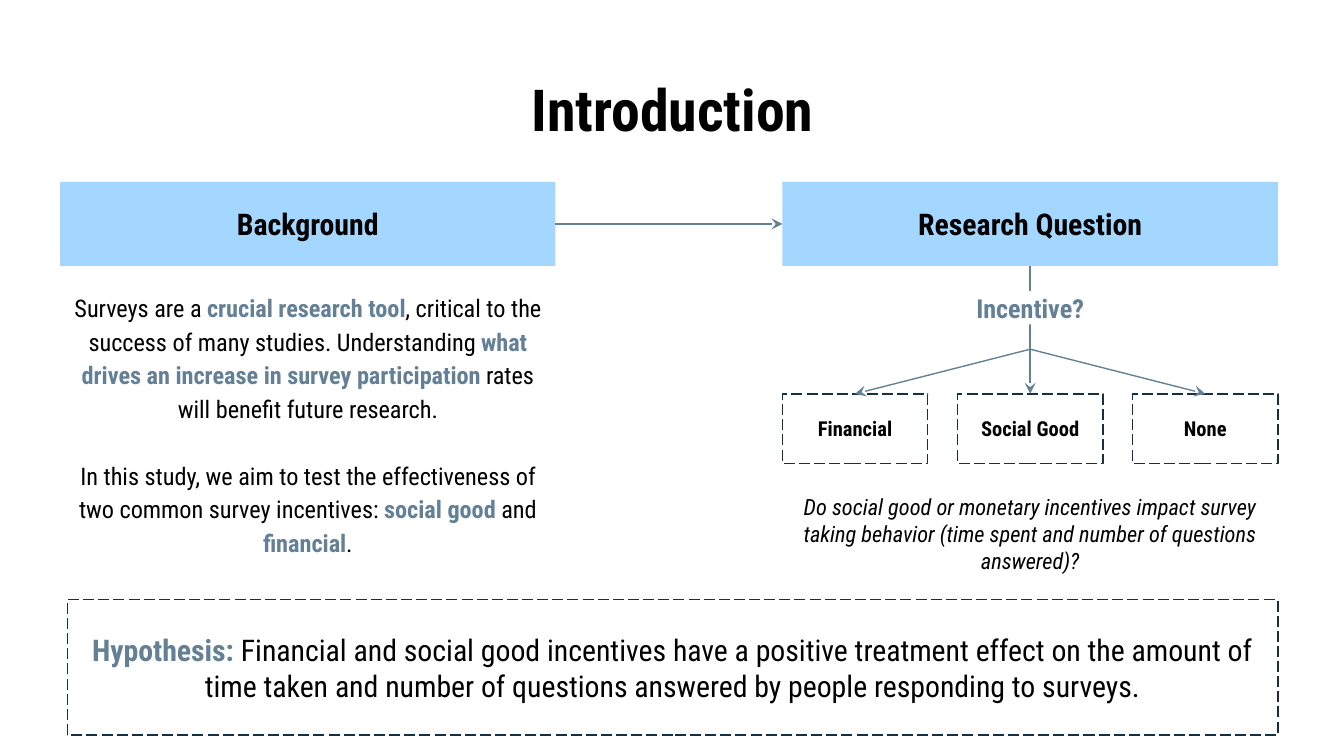
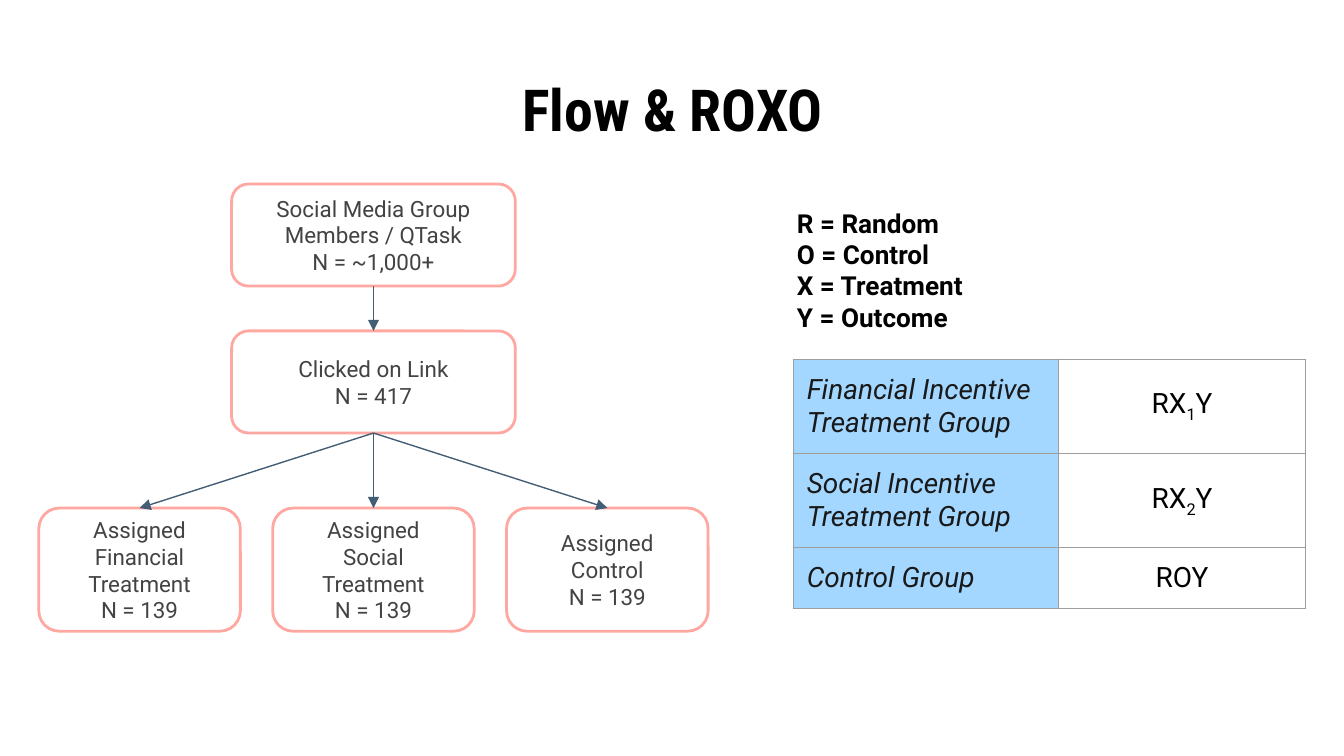
from lxml.etree import SubElement as Sub
from pptx import Presentation
from pptx.dml.color import RGBColor
from pptx.enum.dml import MSO_LINE as Dash
from pptx.enum.shapes import MSO_CONNECTOR as Link, MSO_SHAPE as Form
from pptx.enum.text import MSO_ANCHOR as Anchor, PP_ALIGN as Align
from pptx.oxml.ns import qn
from pptx.util import Pt

BLACK = RGBColor(0x00, 0x00, 0x00)
WHITE = RGBColor(0xFF, 0xFF, 0xFF)
SKY = RGBColor(0xA3, 0xD7, 0xFF)
SLATE = RGBColor(0x63, 0x80, 0x97)
NAVY = RGBColor(0x15, 0x30, 0x41)
STEEL = RGBColor(0x43, 0x5D, 0x74)
CORAL = RGBColor(0xFF, 0xA7, 0xA1)
GREY = RGBColor(0x43, 0x43, 0x43)
INK = RGBColor(0x19, 0x19, 0x19)
RULE = RGBColor(0x9E, 0x9E, 0x9E)
BODY, HEAD = "Roboto", "Roboto Condensed"
INSET = Pt(7.2)


def style(para, size, color=BLACK, face=HEAD, bold=False, italic=False,
          align=Align.CENTER):
    """Set the font and alignment of one paragraph."""
    font = para.font
    font.size, font.name = Pt(size), face
    font.bold, font.italic = bold, italic
    font.color.rgb = color
    para.alignment = align


def write(frame, lines, size, anchor=Anchor.MIDDLE, **look):
    """Fill a text frame; parts between bars are bold accents."""
    frame.word_wrap = True
    frame.vertical_anchor = anchor
    frame.margin_left = frame.margin_right = INSET
    frame.margin_top = frame.margin_bottom = INSET
    for i, line in enumerate(lines):
        para = frame.add_paragraph() if i else frame.paragraphs[0]
        style(para, size, **look)
        for j, part in enumerate(line.split("|")):
            if part:
                run = para.add_run()
                run.text = part
                if j % 2:
                    run.font.bold = True
                    run.font.color.rgb = SLATE


def note(slide, box, lines, size, **look):
    """Add a text box and return its frame."""
    frame = slide.shapes.add_textbox(*map(Pt, box)).text_frame
    write(frame, lines, size, Anchor.TOP, **look)
    return frame


def block(slide, box, lines, size, form=Form.RECTANGLE, fill=None, line=None,
          width=0.75, dash=None, **look):
    """Add a shape with centred text."""
    shape = slide.shapes.add_shape(form, *map(Pt, box))
    shape.shadow.inherit = False
    if fill is None:
        shape.fill.background()
    else:
        shape.fill.solid()
        shape.fill.fore_color.rgb = fill
    if line is None:
        shape.line.fill.background()
    else:
        shape.line.color.rgb = line
        shape.line.width = Pt(width)
        shape.line.dash_style = dash
    write(shape.text_frame, lines, size, **look)
    return shape


def arrow(slide, start, end, color, tip):
    """Join two (shape, side) ends; a start may also be an (x, y) point."""
    joined = not isinstance(start[0], (int, float))
    x, y = (0, 0) if joined else start
    wire = slide.shapes.add_connector(Link.STRAIGHT, Pt(x), Pt(y), Pt(x), Pt(y))
    if joined:
        wire.begin_connect(*start)
    wire.end_connect(*end)
    wire.line.color.rgb = color
    wire.line.width = Pt(0.75)
    Sub(wire.line._get_or_add_ln(), qn("a:tailEnd"), type=tip)
    Sub(wire._element.spPr, qn("a:effectLst"))


def title(slide, text):
    """Add the slide title."""
    note(slide, (36, 32.4, 648.5, 45), [text], 31, bold=True)


def band(slide, box, text):
    """Add the blue heading at the top of a column."""
    x, y, w, _ = box
    return block(slide, (x, y, w, 45), [text], 16, fill=SKY, bold=True)


def context(slide, box):
    """Add the background column and return its heading."""
    x, y, w, h = box
    head = band(slide, box, "Background")
    frame = note(slide, (x, y + 50.2, w, h - 50.2), [
        "Surveys are a |crucial research tool|, critical to the success of "
        "many studies. Understanding |what drives an increase in survey "
        "participation |rates will benefit future research.",
        "In this study, we aim to test the effectiveness of two common "
        "survey incentives: |social good |and| financial|."], 13)
    for para in frame.paragraphs:
        para.line_spacing = 1.15
    frame.paragraphs[1].space_before = Pt(18)
    return head


def question(slide, box):
    """Add the research question column and return its heading."""
    x, y, w, _ = box
    head = band(slide, box, "Research Question")
    wide = 77.8
    step = (w - wide) / 2
    arms = [block(slide, (x + i * step, y + 113.5, wide, 37.4), [name], 11,
                  line=NAVY, dash=Dash.LONG_DASH, bold=True)
            for i, name in enumerate(("Financial", "Social Good", "None"))]
    fork = (x + w / 2, y + 89.6)
    for start, arm in zip((fork, (head, 2), fork), arms):
        arrow(slide, start, (arm, 0), SLATE, "stealth")
    block(slide, (x + step, y + 58.3, wide, 18), ["Incentive?"], 14,
          fill=WHITE, color=SLATE, bold=True)
    note(slide, (x, y + 159.5, w, 45), [
        "Do social good or monetary incentives impact survey taking behavior "
        "(time spent and number of questions answered)?"], 12, italic=True)
    return head


def intro(slide):
    """Build the introduction slide."""
    title(slide, "Introduction")
    left = context(slide, (32.2, 97.5, 265.4, 204.5))
    right = question(slide, (419.2, 97.5, 265.4, 204.5))
    arrow(slide, (left, 3), (right, 1), SLATE, "stealth")
    block(slide, (36, 321.3, 648.6, 72.5), [
        "|Hypothesis: |Financial and social good incentives have a positive "
        "treatment effect on the amount of time taken and number of questions "
        "answered by people responding to surveys."], 16,
        line=NAVY, dash=Dash.LONG_DASH)


def flow(slide, box):
    """Draw the path from recruits to the three assigned groups."""
    x, y, w, h = box

    def node(left, top, wide, high, *lines):
        """Add one rounded step."""
        return block(slide, (left, top, wide, high), lines, 12,
                     Form.ROUNDED_RECTANGLE, line=CORAL, width=1.5,
                     color=GREY, face=BODY)

    wide, leaf = 152, 108
    mid = x + (w - wide) / 2
    pool = node(mid, y, wide, 54.7,
                "Social Media Group Members / QTask", "N = ~1,000+")
    click = node(mid, y + 78.7, wide, 54.7, "Clicked on Link", "N = 417")
    arrow(slide, (pool, 2), (click, 0), STEEL, "triangle")
    groups = "Financial Treatment", "Social Treatment", "Control"
    for i, group in enumerate(groups):
        arm = node(x + i * (w - leaf) / 2, y + h - 66, leaf, 66,
                   "Assigned", group, "N = 139")
        arrow(slide, (click, 2), (arm, 0), STEEL, "triangle")


def edge(cell):
    """Draw thin rules on all four sides of a cell."""
    props = cell._tc.get_or_add_tcPr()
    for side in "LRTB":
        line = Sub(props, qn(f"a:ln{side}"), w=str(Pt(0.75)))
        fill = Sub(line, qn("a:solidFill"))
        Sub(fill, qn("a:srgbClr"), val=str(RULE))


def put(cell, text, fill, **look):
    """Fill a cell; parts between underscores are subscripts."""
    edge(cell)
    cell.fill.solid()
    cell.fill.fore_color.rgb = fill
    cell.vertical_anchor = Anchor.MIDDLE
    cell.margin_left = cell.margin_right = INSET
    cell.margin_top = cell.margin_bottom = INSET
    para = cell.text_frame.paragraphs[0]
    style(para, 15, face=BODY, **look)
    for i, part in enumerate(text.split("_")):
        run = para.add_run()
        run.text = part
        if i % 2:
            run._r.get_or_add_rPr().set("baseline", "-25000")


def design(slide, box):
    """Add the key of letters and the table of groups."""
    x, y, w, _ = box
    note(slide, (x, y, 111, 82), ["R = Random", "O = Control",
         "X = Treatment", "Y = Outcome"], 14, face=BODY, bold=True,
         align=Align.LEFT)
    rows = (("Financial Incentive Treatment Group", "RX_1_Y", 39),
            ("Social Incentive Treatment Group", "RX_2_Y", 48),
            ("Control Group", "ROY", 31))
    grid = slide.shapes.add_table(3, 2, Pt(x + 5.2), Pt(y + 88.8),
                                  Pt(w - 5.2), Pt(118)).table
    grid.first_row = grid.horz_banding = False
    grid.columns[0].width = Pt(142)
    grid.columns[1].width = Pt(w - 147.2)
    for i, (name, code, high) in enumerate(rows):
        grid.rows[i].height = Pt(high)
        put(grid.cell(i, 0), name, SKY, color=INK, italic=True,
            align=Align.LEFT)
        put(grid.cell(i, 1), code, WHITE)


def trial(slide):
    """Build the flow and design slide."""
    title(slide, "Flow & ROXO")
    flow(slide, (20.8, 98.6, 358.6, 239.6))
    design(slide, (419.8, 103.7, 279.7, 220))


def main():
    """Build and save the deck."""
    deck = Presentation()
    deck.slide_width, deck.slide_height = Pt(720), Pt(405)
    for build in (intro, trial):
        build(deck.slides.add_slide(deck.slide_layouts[6]))
    deck.save("out.pptx")


if __name__ == "__main__":
    main()
